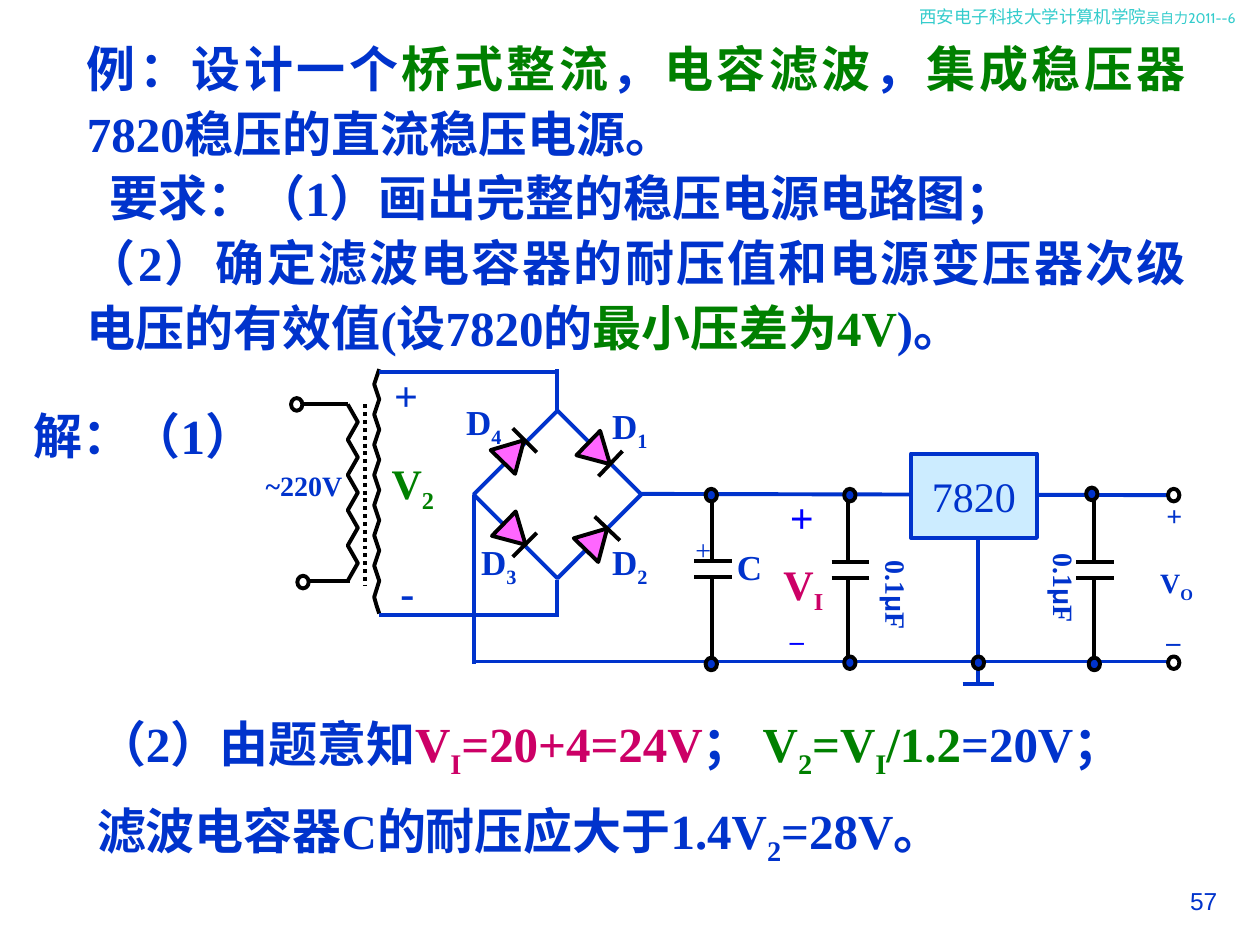
import dataclasses
import typing

import lxml.etree
import pptx
import pptx.dml.color
import pptx.enum.dml
import pptx.enum.shapes
import pptx.enum.text
import pptx.oxml.ns
import pptx.util

Inches = pptx.util.Inches
SHAPE = pptx.enum.shapes.MSO_SHAPE
ALIGN = pptx.enum.text.PP_ALIGN


@dataclasses.dataclass(frozen=True)
class Theme:
    blue: str = "0033CC"
    bright: str = "0000FF"
    green: str = "008000"
    red: str = "CC0066"
    pink: str = "FF66FF"
    pale: str = "CCECFF"
    teal: str = "33CCCC"
    black: str = "000000"
    white: str = "FFFFFF"
    serif: str = "Times New Roman"
    sans: str = "Arial"
    brand: str = "Cabin"
    body: int = 28
    large: int = 24
    mid: int = 20
    small: int = 16
    page: int = 14
    head: int = 10
    note: int = 8
    stroke: float = 2.25


T = Theme()


class Run(typing.NamedTuple):
    text: str
    color: str = T.blue
    sub: bool = False
    size: int | None = None
    font: str | None = None


@dataclasses.dataclass
class Label:
    x: float
    y: float
    w: float
    h: float
    runs: list[Run]
    size: int = T.small
    bold: bool = True
    font: str = T.serif
    align: ALIGN = ALIGN.LEFT
    upright: bool = False


class Cap(typing.NamedTuple):
    stem: float
    left: float
    top: float


class Diode(typing.NamedTuple):
    x: float
    y: float
    turn: float
    bar: tuple[float, float, float, float]


def apply(target, **values) -> None:
    for name, value in values.items():
        setattr(target, name, value)


def rgb(color: str):
    return pptx.dml.color.RGBColor.from_string(color)


def write(para, runs: list[Run], size: int, bold: bool = True, font: str = T.serif) -> None:
    for item in runs:
        run = para.add_run()
        run.text = item.text
        apply(run.font, name=item.font or font, bold=bold,
              size=pptx.util.Pt(item.size or size))
        run.font.color.rgb = rgb(item.color)
        if item.sub:
            run.font._element.set("baseline", "-25000")


def label(shapes, item: Label) -> None:
    box = shapes.add_textbox(*map(Inches, (item.x, item.y, item.w, item.h)))
    frame = box.text_frame
    frame.word_wrap = True
    if item.upright:
        box.element.xpath(".//a:bodyPr")[0].set("vert", "eaVert")
        apply(frame, margin_left=Inches(0.05), margin_right=Inches(0.05),
              margin_top=Inches(0.1), margin_bottom=Inches(0.1))
    frame.paragraphs[0].alignment = item.align
    write(frame.paragraphs[0], item.runs, item.size, item.bold, item.font)


def block(holder, spot, lines, spacing: float, align) -> None:
    """Fill a placeholder with (first-line indent, runs) paragraphs."""
    apply(holder, **dict(zip(("left", "top", "width", "height"), map(Inches, spot))))
    frame = holder.text_frame
    apply(frame, word_wrap=True, auto_size=pptx.enum.text.MSO_AUTO_SIZE.NONE,
          vertical_anchor=pptx.enum.text.MSO_ANCHOR.TOP)
    for i, (indent, runs) in enumerate(lines):
        para = frame.add_paragraph() if i else frame.paragraphs[0]
        props = para._p.get_or_add_pPr()
        props.set("marL", "0")
        props.set("indent", str(Inches(indent)))
        lxml.etree.SubElement(props, pptx.oxml.ns.qn("a:buNone"))
        apply(para, alignment=align, line_spacing=spacing, space_before=pptx.util.Pt(0))
        write(para, runs, T.body)


def stroke(line, color: str) -> None:
    line.color.rgb = rgb(color)
    line.width = pptx.util.Pt(T.stroke)


def wire(shapes, ends, color: str = T.blue):
    link = shapes.add_connector(pptx.enum.shapes.MSO_CONNECTOR.STRAIGHT, *map(Inches, ends))
    lxml.etree.SubElement(link.element.spPr, pptx.oxml.ns.qn("a:effectLst"))
    stroke(link.line, color)
    return link


def part(shapes, kind, spot, fill: str | None, color: str = T.black):
    shape = shapes.add_shape(kind, *map(Inches, spot))
    shape.shadow.inherit = False
    if fill:
        shape.fill.solid()
        shape.fill.fore_color.rgb = rgb(fill)
    else:
        shape.fill.background()
    stroke(shape.line, color)
    return shape


def coil(shapes, near: float, far: float, top: float, step: float, turns: int, tail=()) -> None:
    points = [(far if i % 2 else near, top + i * step) for i in range(turns + 1)]
    start, *rest = [(Inches(x), Inches(y)) for x, y in points + list(tail)]
    build = shapes.build_freeform(*start)
    build.add_line_segments(rest, close=False)
    shape = build.convert_to_shape()
    shape.shadow.inherit = False
    shape.fill.background()
    stroke(shape.line, T.black)


def draw(shapes) -> None:
    coil(shapes, 2.76, 2.84, 3.21, 0.14, 10)
    coil(shapes, 3.01, 2.97, 2.93, 0.12, 14, [(2.97, 4.74), (2.99, 4.81), (3.01, 4.87)])
    for ends in ((2.4, 3.21, 2.76, 3.21), (2.41, 4.61, 2.78, 4.61)):
        wire(shapes, ends, T.black)
    core = wire(shapes, (2.9, 3.21, 2.9, 4.65), T.black)
    core.line.dash_style = pptx.enum.dml.MSO_LINE.ROUND_DOT

    part(shapes, SHAPE.DIAMOND, (3.76, 3.26, 1.33, 1.33), None, T.blue)
    for diode in (
        Diode(3.95, 4.12, 134.2, (4.07, 4.42, 4.26, 4.23)),
        Diode(4.62, 3.48, 134.2, (4.75, 3.78, 4.94, 3.58)),
        Diode(4.6, 4.16, 44.2, (4.92, 4.29, 4.72, 4.1)),
        Diode(3.94, 3.46, 44.2, (4.26, 3.59, 4.07, 3.4)),
    ):
        spot = (diode.x, diode.y, 0.27, 0.24)
        part(shapes, SHAPE.ISOSCELES_TRIANGLE, spot, T.pink).rotation = diode.turn
        wire(shapes, diode.bar, T.black)

    for ends in (
        (3.01, 2.95, 4.42, 2.95), (3.01, 4.88, 4.42, 4.88),
        (4.42, 2.93, 4.42, 3.27), (4.42, 4.6, 4.42, 4.9),
        (5.09, 3.92, 9.34, 3.93), (3.76, 3.93, 3.76, 5.27), (3.76, 5.25, 9.34, 5.25),
        (7.76, 4.27, 7.76, 5.43), (7.64, 5.43, 7.89, 5.43),
    ):
        wire(shapes, ends)
    for cap in (Cap(5.65, 5.51, 4.45), Cap(6.73, 6.6, 4.46), Cap(8.68, 8.54, 4.46)):
        low = cap.top + 0.13
        for y in (cap.top, low):
            wire(shapes, (cap.left, y, cap.left + 0.3, y), T.black)
        wire(shapes, (cap.stem, 3.93, cap.stem, cap.top), T.black)
        wire(shapes, (cap.stem, low, cap.stem, 5.27), T.black)

    chip = part(shapes, SHAPE.RECTANGLE, (7.23, 3.6, 1, 0.67), T.pale, T.blue)
    chip.text_frame.word_wrap = False
    chip.text_frame.paragraphs[0].alignment = ALIGN.CENTER
    write(chip.text_frame.paragraphs[0], [Run("7820")], T.large, bold=False)

    ports = ((2.31, 3.16), (2.36, 4.57), (9.27, 3.88), (9.27, 5.21))
    nodes = ((5.6, 3.88), (5.6, 5.22), (6.7, 3.88), (6.7, 5.21),
             (7.72, 5.21), (8.62, 3.87), (8.64, 5.22))
    for fill, spots in ((T.white, ports), (T.blue, nodes)):
        for x, y in spots:
            part(shapes, SHAPE.OVAL, (x, y, 0.09, 0.1), fill)


def name(text: str, mark: str, color: str = T.blue) -> list[Run]:
    return [Run(text, color), Run(mark, color, True)]


FARAD = [Run("0.1"), Run("μ", font=T.sans), Run("F")]
LABELS = [
    Label(7.2, 0, 2.8, 0.27, [Run("西安电子科技大学计算机学院", T.teal),
                              Run("吴自力2011--6", T.teal, size=T.note)], T.head, False, T.brand),
    Label(0.17, 3.17, 2.16, 0.57, [Run("解：（1）")], T.body),
    Label(2.01, 3.67, 0.91, 0.72, [Run("~220V")]),
    Label(3.01, 3.58, 0.91, 0.72, name("V", "2", T.green), T.large),
    Label(5.42, 4.18, 0.6, 0.63, [Run("+")], bold=False),
    Label(9.16, 3.91, 0.56, 0.56, [Run("+")]),
    Label(9.16, 4.83, 0.56, 0.56, [Run("_")]),
    Label(6.67, 4.35, 0.63, 0.83, FARAD, upright=True),
    Label(8, 4.29, 0.63, 0.83, FARAD, upright=True),
    Label(9.11, 4.44, 0.56, 0.67, name("V", "O")),
    Label(3.03, 2.88, 0.39, 0.5, [Run("+")], T.large),
    Label(3.08, 4.45, 0.31, 0.5, [Run("-")], T.large),
    *(Label(x, y, 0.91, 0.72, name("D", mark), T.mid) for x, y, mark in
      ((4.76, 3.16, "1"), (4.76, 4.24, "2"), (3.72, 4.24, "3"), (3.6, 3.13, "4"))),
    Label(5.75, 4.28, 0.91, 0.72, [Run("C")], T.mid),
    Label(6.17, 3.85, 0.56, 0.56, [Run("+", T.bright)], T.large),
    Label(6.17, 4.82, 0.56, 0.56, [Run("_", T.bright)]),
    Label(6.12, 4.38, 0.56, 0.67, name("V", "I", T.red), T.large),
    Label(9.17, 6.98, 0.59, 0.44, [Run("57")], T.page, False, T.sans, ALIGN.RIGHT),
]
TASK = [
    (0, [Run("例：设计一个"), Run("桥式整流", T.green), Run("，"), Run("电容滤波", T.green),
         Run("，"), Run("集成稳压器", T.green), Run("7820稳压的直流稳压电源。")]),
    (0.18, [Run("要求：（1）画出完整的稳压电源电路图；")]),
    (0, [Run("（2）确定滤波电容器的耐压值和电源变压器次级电压的有效值(设7820的"),
         Run("最小压差为4V", T.green), Run(")。")]),
]
ANSWER = [
    (0, [Run("（2）由题意知"), *name("V", "I", T.red), Run("=20+4=24V", T.red), Run("； "),
         *name("V", "2", T.green), *name("=V", "I", T.green), Run("/1.2", T.green),
         Run("=20V；")]),
    (0, [*name("滤波电容器C的耐压应大于1.4V", "2"), Run("=28V。")]),
]


def main() -> None:
    deck = pptx.Presentation()
    apply(deck, slide_width=Inches(10), slide_height=Inches(7.5))
    slide = deck.slides.add_slide(deck.slide_layouts[1])
    title, body = slide.placeholders
    block(title, (0.59, 0.21, 8.92, 2.67), TASK, 1.1, ALIGN.JUSTIFY)
    block(body, (0.67, 5.45, 9.2, 1.48), ANSWER, 1.3, ALIGN.LEFT)
    draw(slide.shapes)
    for item in LABELS:
        label(slide.shapes, item)
    deck.save("out.pptx")


if __name__ == "__main__":
    main()
